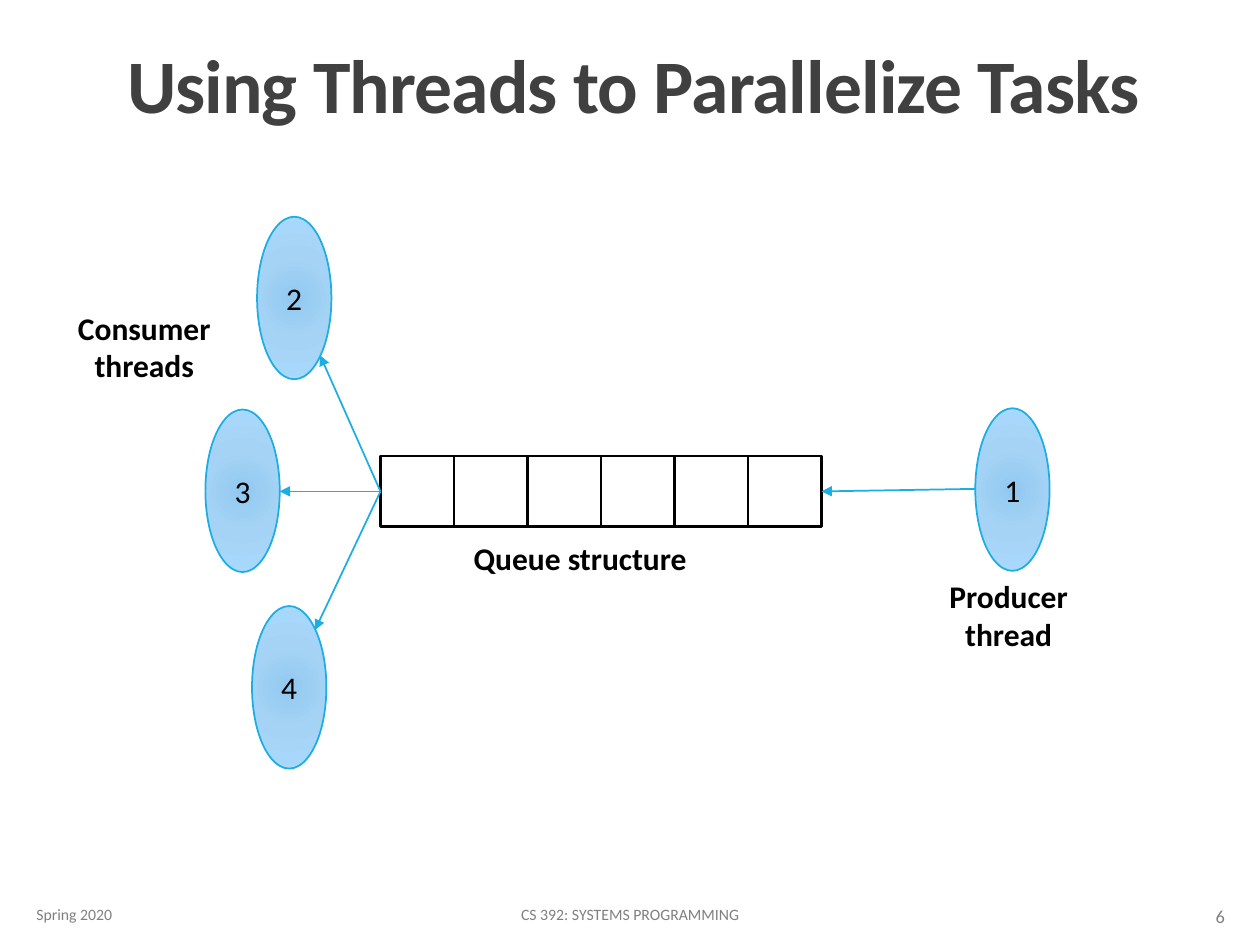
"""Build a slide showing producer and consumer threads around a shared queue."""
from lxml.etree import SubElement
from pptx import Presentation
from pptx.dml.color import RGBColor
from pptx.enum.shapes import MSO_CONNECTOR as LINE, MSO_SHAPE as SHAPE
from pptx.enum.text import MSO_ANCHOR as ANCHOR, PP_ALIGN as ALIGN
from pptx.oxml import parse_xml
from pptx.oxml.ns import nsdecls, qn
from pptx.util import Inches, Pt

BLUE, BLACK, GREY = "1CADE4", "000000", "808080"
THREAD_W, THREAD_H = 0.59, 1.29
QUEUE_LEFT, QUEUE_TOP, QUEUE_W, QUEUE_H, CELLS = 3.02, 3.62, 3.5, 0.56, 6
QUEUE_MID, QUEUE_RIGHT = QUEUE_TOP + QUEUE_H / 2, QUEUE_LEFT + QUEUE_W
GRADIENT = f"""<a:gradFill {nsdecls('a')} rotWithShape="1"><a:gsLst>
<a:gs pos="0"><a:srgbClr val="92C9F0"/></a:gs>
<a:gs pos="45000"><a:srgbClr val="A4D3F5"/></a:gs>
<a:gs pos="100000"><a:srgbClr val="A9D9FD"/></a:gs></a:gsLst>
<a:path path="circle"><a:fillToRect l="100000" t="100000" r="100000" b="100000"/></a:path>
</a:gradFill>"""


def rgb(value):
    return RGBColor.from_string(value)


def write(shape, text, size, color=BLACK, bold=False, align=ALIGN.CENTER, anchor=ANCHOR.MIDDLE):
    frame = shape.text_frame
    frame.text = text
    frame.word_wrap = True
    frame.vertical_anchor = anchor
    for paragraph in frame.paragraphs:
        paragraph.alignment = align
        font = paragraph.font
        font.name, font.size, font.bold = "Calibri", Pt(size), bold
        font.color.rgb = rgb(color)


deck = Presentation()
deck.slide_width, deck.slide_height = Inches(10), Inches(7.5)
slide = deck.slides.add_slide(deck.slide_layouts[6])
shapes = slide.shapes

title = shapes.add_textbox(Inches(0.9), Inches(0.04), Inches(8.25), Inches(1.03))
write(title, "Using Threads to Parallelize Tasks", 43.2, "404040", True, anchor=ANCHOR.BOTTOM)
heading = title.text_frame.paragraphs[0]
heading.line_spacing = 0.85
heading.runs[0].font._element.set("spc", "-50")

footers = [
    ("Spring 2020", 0.19, 7.06, 2.03, 9, ALIGN.LEFT),
    ("CS 392: SYSTEMS PROGRAMMING", 3.02, 7.06, 3.96, 9, ALIGN.CENTER),
    ("6", 8.74, 7.07, 1.08, 10.5, ALIGN.RIGHT),
]
for text, left, top, width, size, align in footers:
    footer = shapes.add_textbox(Inches(left), Inches(top), Inches(width), Inches(0.4))
    write(footer, text, size, GREY, align=align)

threads = [("2", 2.04, 1.72), ("3", 1.63, 3.25), ("4", 2, 4.81), ("1", 7.74, 3.24)]
for number, left, top in threads:
    thread = shapes.add_shape(
        SHAPE.OVAL, Inches(left), Inches(top), Inches(THREAD_W), Inches(THREAD_H))
    thread.shadow.inherit = False
    thread._element.spPr.find(qn("a:prstGeom")).addnext(parse_xml(GRADIENT))
    thread.line.color.rgb = rgb(BLUE)
    thread.line.width = Pt(1)
    write(thread, number, 18)

queue = shapes.add_group_shape()
cell_w = QUEUE_W / CELLS
for column in range(CELLS):
    cell = queue.shapes.add_shape(
        SHAPE.RECTANGLE, Inches(QUEUE_LEFT + column * cell_w), Inches(QUEUE_TOP),
        Inches(cell_w), Inches(QUEUE_H))
    cell.shadow.inherit = False
    cell.fill.solid()
    cell.fill.fore_color.rgb = rgb("FFFFFF")
    cell.line.color.rgb = rgb(BLACK)
    cell.line.width = Pt(1.25)

arrows = [
    (7.74, 3.88, QUEUE_RIGHT, QUEUE_MID),
    (QUEUE_LEFT, QUEUE_MID, 2.54, 2.82),
    (QUEUE_LEFT, QUEUE_MID, 2.22, QUEUE_MID),
    (QUEUE_LEFT, QUEUE_MID, 2.5, 5),
]
for ends in arrows:
    arrow = shapes.add_connector(LINE.STRAIGHT, *[Inches(end) for end in ends])
    arrow.line.color.rgb = rgb(BLUE)
    arrow.line.width = Pt(1)
    SubElement(arrow.line._get_or_add_ln(), qn("a:tailEnd"), type="triangle")
    SubElement(arrow._element.spPr, qn("a:effectLst"))

labels = [
    ("Consumer threads", 0.19, 2.4, 0.71),
    ("Queue structure", 3.65, 4.23, 0.4),
    ("Producer\nthread", 7.05, 4.53, 0.71),
]
for text, left, top, height in labels:
    label = shapes.add_textbox(Inches(left), Inches(top), Inches(1.91), Inches(height))
    write(label, text, 18, bold=True, anchor=ANCHOR.TOP)

deck.save("out.pptx")
